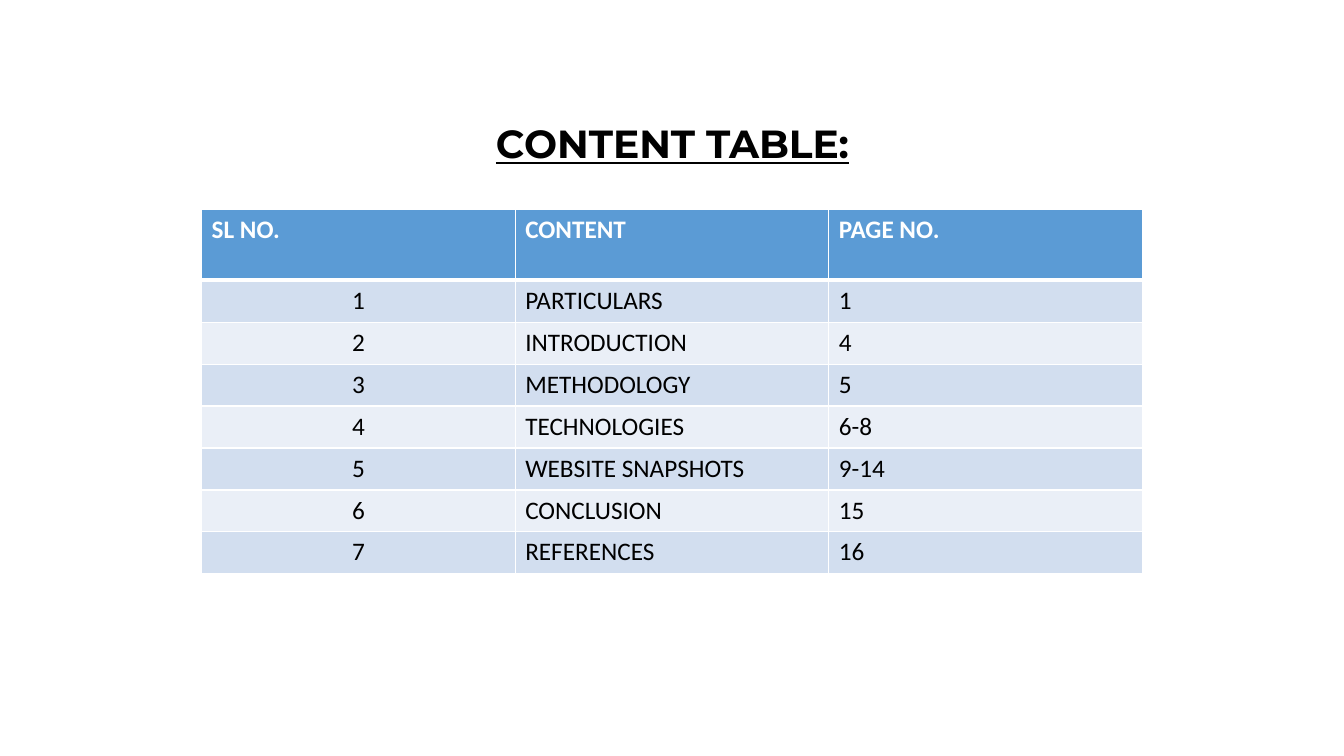
from lxml import etree
from pptx import Presentation
from pptx import util as u
from pptx.dml.color import RGBColor
from pptx.enum import text
from pptx.oxml.ns import qn

COLORS = {
    "header": "5B9BD5",
    "odd": "D2DEEF",
    "even": "EAEFF7",
    "white": "FFFFFF",
    "black": "000000",
}
HEADINGS = ("SL NO.", "CONTENT", "PAGE NO.")
CONTENTS = [
    ("PARTICULARS", "1"),
    ("INTRODUCTION", "4"),
    ("METHODOLOGY", "5"),
    ("TECHNOLOGIES", "6-8"),
    ("WEBSITE SNAPSHOTS", "9-14"),
    ("CONCLUSION", "15"),
    ("REFERENCES", "16"),
]
COLUMN_WIDTH = 3.11
HEADER_HEIGHT = 0.7
ROW_HEIGHT = 3.33 / 8


def rgb(name):
    return RGBColor.from_string(COLORS[name])


def add_run(p, wording, font, size, color, bold=False, underline=False):
    r = p.add_run()
    r.text = wording
    r.font.name = font
    r.font.size = u.Pt(size)
    r.font.color.rgb = rgb(color)
    r.font.bold = bold
    r.font.underline = underline


def add_title(s, wording):
    sp = s.shapes.add_textbox(u.Inches(0.92), u.Inches(0.58),
                              u.Inches(11.5), u.Inches(6.18))
    tf = sp.text_frame
    tf.word_wrap = True
    tf.margin_top = u.Inches(0.66)
    p = tf.paragraphs[0]
    p.alignment = text.PP_ALIGN.CENTER
    p.line_spacing = 0.9
    add_run(p, wording, "Montserrat", 28, "black", bold=True, underline=True)


def set_borders(cell, top, bottom):
    """Draw white cell borders; top and bottom are widths in points."""
    tc_pr = cell._tc.get_or_add_tcPr()
    for side, width in (("L", 1), ("R", 1), ("T", top), ("B", bottom)):
        ln = etree.SubElement(tc_pr, qn(f"a:ln{side}"), w=str(u.Pt(width)))
        fill = etree.SubElement(ln, qn("a:solidFill"))
        etree.SubElement(fill, qn("a:srgbClr"), val=COLORS["white"])


def fill_cell(cell, wording, row, col):
    header = row == 0
    set_borders(cell, top=3 if row == 1 else 1, bottom=3 if header else 1)
    cell.fill.solid()
    cell.fill.fore_color.rgb = rgb(
        "header" if header else "odd" if row % 2 else "even")
    p = cell.text_frame.paragraphs[0]
    if col == 0 and not header:
        p.alignment = text.PP_ALIGN.CENTER
    add_run(p, wording, "Calibri", 18, "white" if header else "black",
            bold=header)


def add_content_table(s):
    rows = [HEADINGS] + [(str(i), *entry)
                         for i, entry in enumerate(CONTENTS, 1)]
    height = HEADER_HEIGHT + ROW_HEIGHT * len(CONTENTS)
    table = s.shapes.add_table(
        len(rows), len(HEADINGS), u.Inches(2), u.Inches(2.08),
        u.Inches(COLUMN_WIDTH * len(HEADINGS)), u.Inches(height)).table
    for column in table.columns:
        column.width = u.Inches(COLUMN_WIDTH)
    for row, wordings in enumerate(rows):
        table.rows[row].height = u.Inches(ROW_HEIGHT if row else HEADER_HEIGHT)
        for col, wording in enumerate(wordings):
            fill_cell(table.cell(row, col), wording, row, col)


def main():
    prs = Presentation()
    prs.slide_width, prs.slide_height = u.Inches(13.33), u.Inches(7.5)
    s = prs.slides.add_slide(prs.slide_layouts[6])
    add_title(s, "CONTENT TABLE:")
    add_content_table(s)
    prs.save("out.pptx")


if __name__ == "__main__":
    main()
